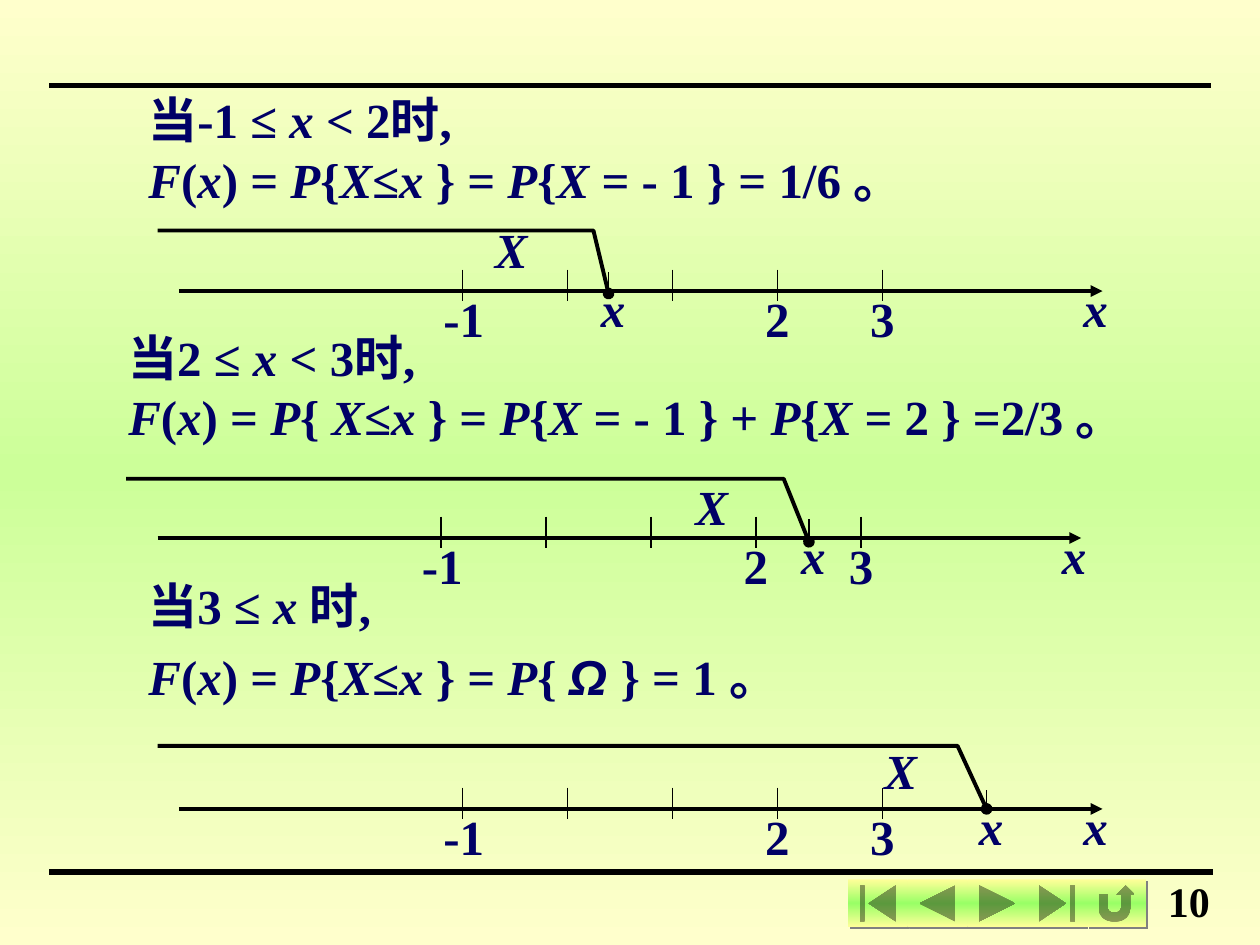
from copy import deepcopy

from lxml.etree import SubElement
from pptx import Presentation
from pptx.dml.color import RGBColor
from pptx.enum.shapes import MSO_CONNECTOR, MSO_SHAPE
from pptx.enum.text import MSO_AUTO_SIZE, PP_ALIGN
from pptx.oxml.ns import qn
from pptx.util import Inches, Pt

COLORS = {
    "line": "000000",
    "text": "000066",
    "page_edge": "FFFFCC",
    "page_middle": "CCFF99",
    "button_edge": "FFFF99",
    "button_middle": "99FF66",
    "shadow": "808080",
}


def add_line(x1, y1, x2, y2, width):
    line = slide.shapes.add_connector(
        MSO_CONNECTOR.STRAIGHT, Inches(x1), Inches(y1), Inches(x2), Inches(y2))
    line.line.width = Pt(width)
    line.line.color.rgb = RGBColor.from_string(COLORS["line"])
    SubElement(line.element.spPr, qn("a:effectLst"))
    return line


def add_text(text, left, top, width, align=PP_ALIGN.LEFT, size=28, color="text"):
    """Add a bold text box; the parts between asterisks are italic."""
    box = slide.shapes.add_textbox(
        Inches(left), Inches(top), Inches(width), Inches(0.57))
    frame = box.text_frame
    frame.word_wrap = True
    frame.auto_size = MSO_AUTO_SIZE.SHAPE_TO_FIT_TEXT
    paragraph = frame.paragraphs[0]
    paragraph.alignment = align
    for index, part in enumerate(text.split("*")):
        if not part:
            continue
        run = paragraph.add_run()
        run.text = part
        run.font.name = "Arial" if "Ω" in part else "Times New Roman"
        run.font.size = Pt(size)
        run.font.bold = True
        run.font.italic = index % 2 == 1
        run.font.color.rgb = RGBColor.from_string(COLORS[color])


presentation = Presentation()
presentation.slide_width = Inches(10)
presentation.slide_height = Inches(7.5)
slide = presentation.slides.add_slide(presentation.slide_layouts[6])
gradients = [(slide.background.fill, slide.element, "page")]

# Rules at the top and bottom, and the page number
add_line(0.39, 0.68, 9.61, 0.68, 3)
add_line(0.39, 6.92, 9.63, 6.92, 3)
add_text("10", 9.17, 6.9, 0.79, size=24, color="line")

# Navigation buttons
buttons = [
    MSO_SHAPE.ACTION_BUTTON_BEGINNING,
    MSO_SHAPE.ACTION_BUTTON_BACK_OR_PREVIOUS,
    MSO_SHAPE.ACTION_BUTTON_FORWARD_OR_NEXT,
    MSO_SHAPE.ACTION_BUTTON_END,
    MSO_SHAPE.ACTION_BUTTON_RETURN,
]
button_width = 2.37 / len(buttons)
for index, kind in enumerate(buttons):
    button = slide.shapes.add_shape(
        kind, Inches(6.73 + index * button_width), Inches(6.98),
        Inches(button_width), Inches(0.38))
    button.line.fill.background()
    gradients.append((button.fill, button.element, "button"))
    button.shadow.inherit = False
    effects = button.element.spPr.find(qn("a:effectLst"))
    shadow = SubElement(effects, qn("a:outerShdw"), dist=str(Pt(1.4)),
                        dir="2700000", algn="ctr", rotWithShape="0")
    SubElement(shadow, qn("a:srgbClr"), val=COLORS["shadow"])

# Three-stop vertical gradients of the page and the buttons
for fill, element, name in gradients:
    fill.gradient()
    fill.gradient_angle = 270
    stop_list = element.find(".//" + qn("a:gsLst"))
    stop_list.append(deepcopy(stop_list[0]))
    for stop, position, tone in zip(
            fill.gradient_stops, (0, 0.5, 1), ("edge", "middle", "edge")):
        stop.position = position
        stop.color.rgb = RGBColor.from_string(COLORS[f"{name}_{tone}"])

# Conditions and values of the distribution function: left, top, width, text
statements = [
    (1.08, 0.66, 3, "当-1 ≤ *x* < 2时,"),
    (1.08, 1.14, 8.42, "*F*(*x*) =* P*{*X*≤*x *} = *P*{*X *= - 1 } = 1/6 。"),
    (0.92, 2.55, 7.83, "当2 ≤ *x* < 3时,"),
    (0.92, 3.02, 8.42,
     "*F*(*x*) =* P*{ *X*≤*x *} = *P*{*X *= - 1 } + *P*{*X *= 2 } =2/3 。"),
    (1.08, 4.52, 3, "当3 ≤ *x *时,"),
    (1.08, 5.08, 8.42, "*F*(*x*) =* P*{*X*≤*x *} = *P*{ *Ω *} = 1 。"),
]
for left, top, width, text in statements:
    add_text(text, left, top, width)

# Number lines: axis left and height, point x and y,
# bend and start of the range line, place of the X label
number_lines = [
    (1.42, 2.31, 4.83, 2.33, 4.71, 1.25, (3.83, 1.69)),
    (1.25, 4.27, 6.42, 4.3, 6.22, 1, (5.42, 3.73)),
    (1.42, 6.42, 7.83, 6.42, 7.6, 1.25, (6.92, 5.83)),
]
tick_labels = ["-1", "", "", "2", "3"]
for left, axis, point_x, point_y, bend, start, x_place in number_lines:
    arrow = add_line(left, axis, left + 7.33, axis, 2.25)
    SubElement(arrow.element.spPr.find(qn("a:ln")), qn("a:tailEnd"), type="triangle")
    add_text("*x*", left + 7.08, axis - 0.15, 0.5)

    for index, label in enumerate(tick_labels):
        tick = left + 2.25 + index * 5 / 6
        add_line(tick, axis - 0.17, tick, axis + 0.08, 0.75)
        if label == "-1":
            add_text(label, tick - 0.25, axis - 0.07, 0.58)
        elif label:
            add_text(label, tick - 0.25, axis - 0.07, 0.5, PP_ALIGN.CENTER)

    # Point x and the range of X to its left
    add_text("*x*", point_x - 0.16, axis - 0.15, 0.5)
    add_line(point_x, axis + 0.02, point_x, axis - 0.15, 0.75)
    builder = slide.shapes.build_freeform(Inches(point_x), Inches(point_y))
    builder.add_line_segments(
        [(Inches(x), Inches(point_y - 0.5)) for x in (bend, start)], close=False)
    range_line = builder.convert_to_shape()
    range_line.fill.background()
    range_line.shadow.inherit = False
    range_line.line.width = Pt(2.25)
    range_line.line.color.rgb = RGBColor.from_string(COLORS["line"])
    SubElement(range_line.element.spPr.find(qn("a:ln")), qn("a:headEnd"), type="oval")
    add_text("*X*", *x_place, 0.58)

presentation.save("out.pptx")
